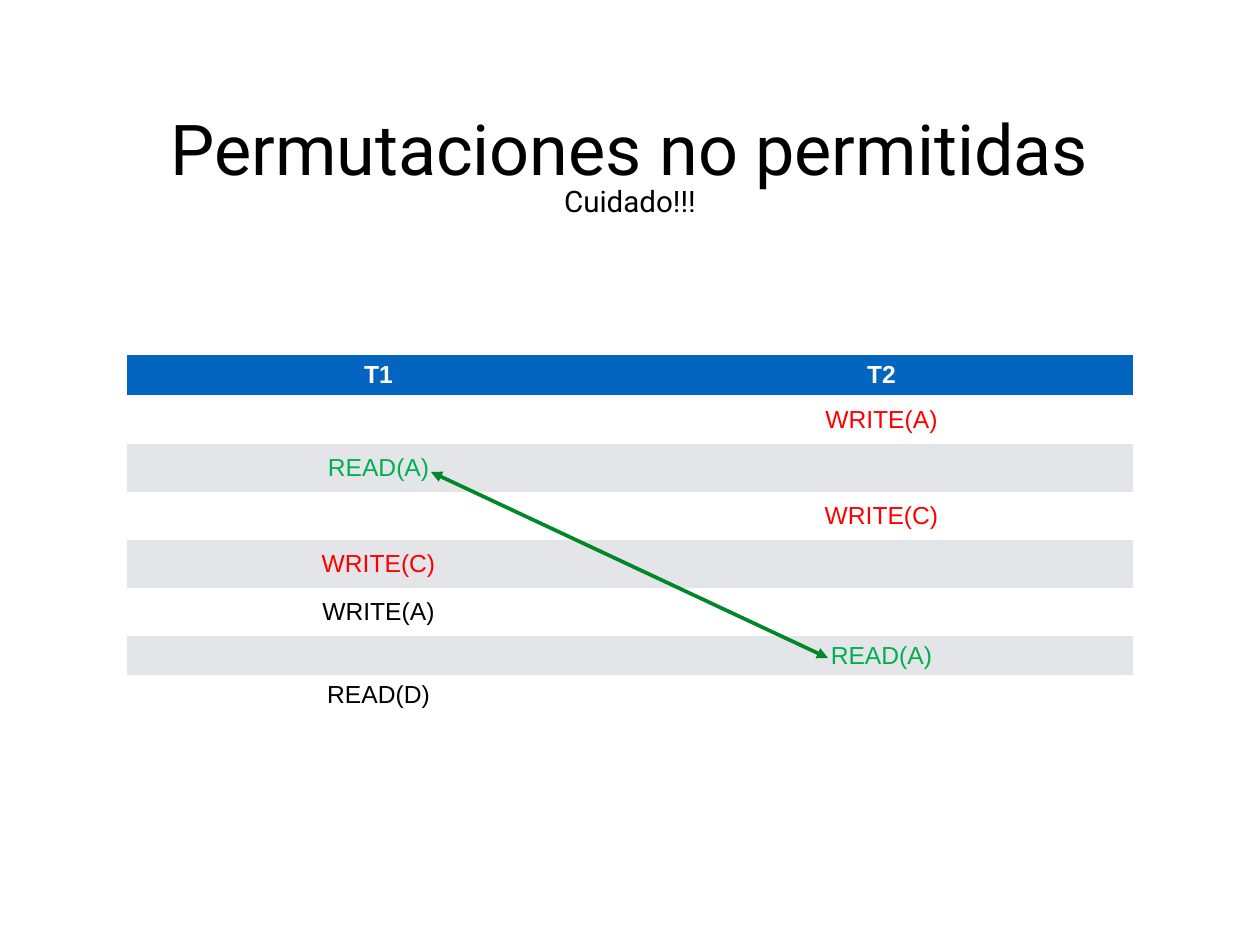
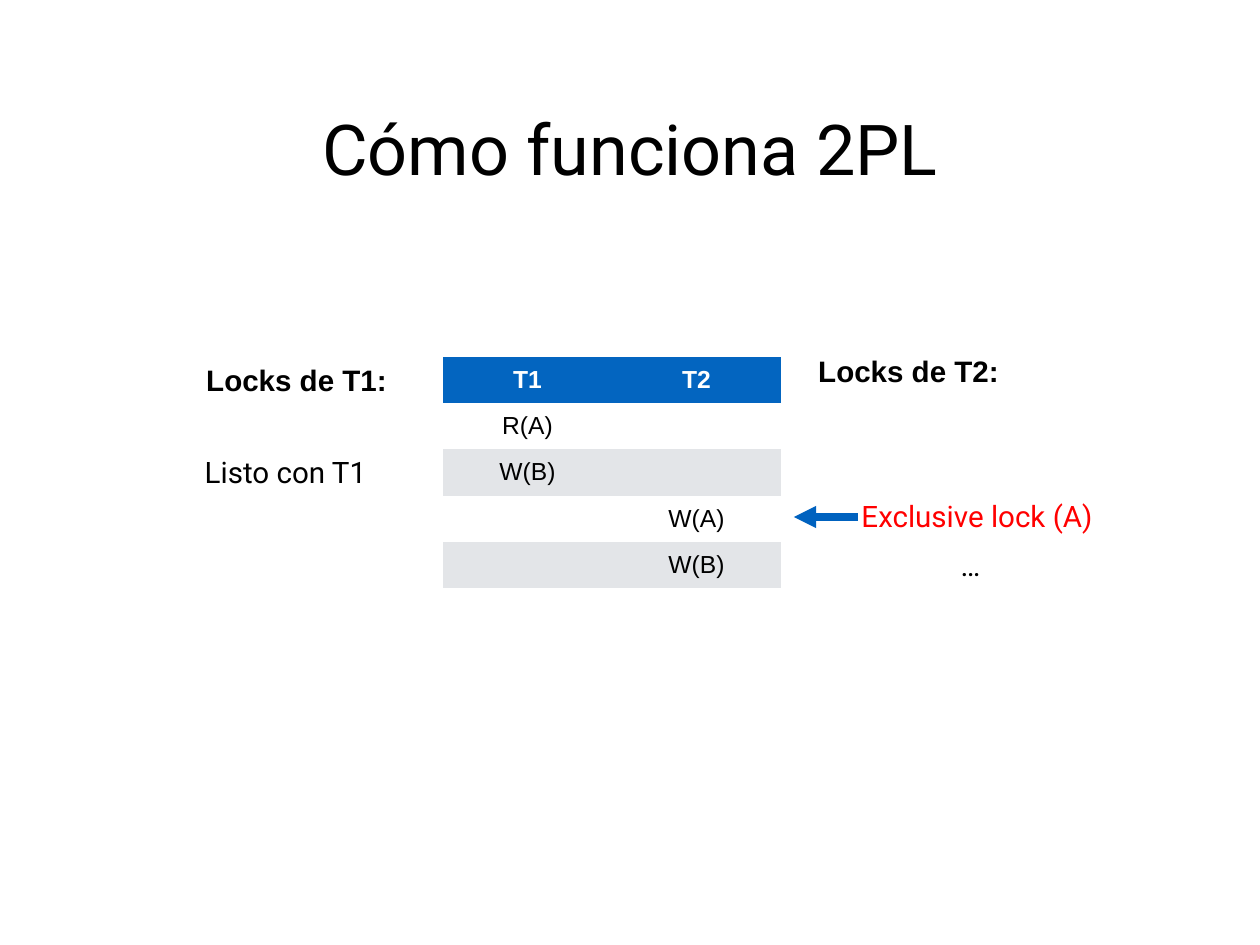
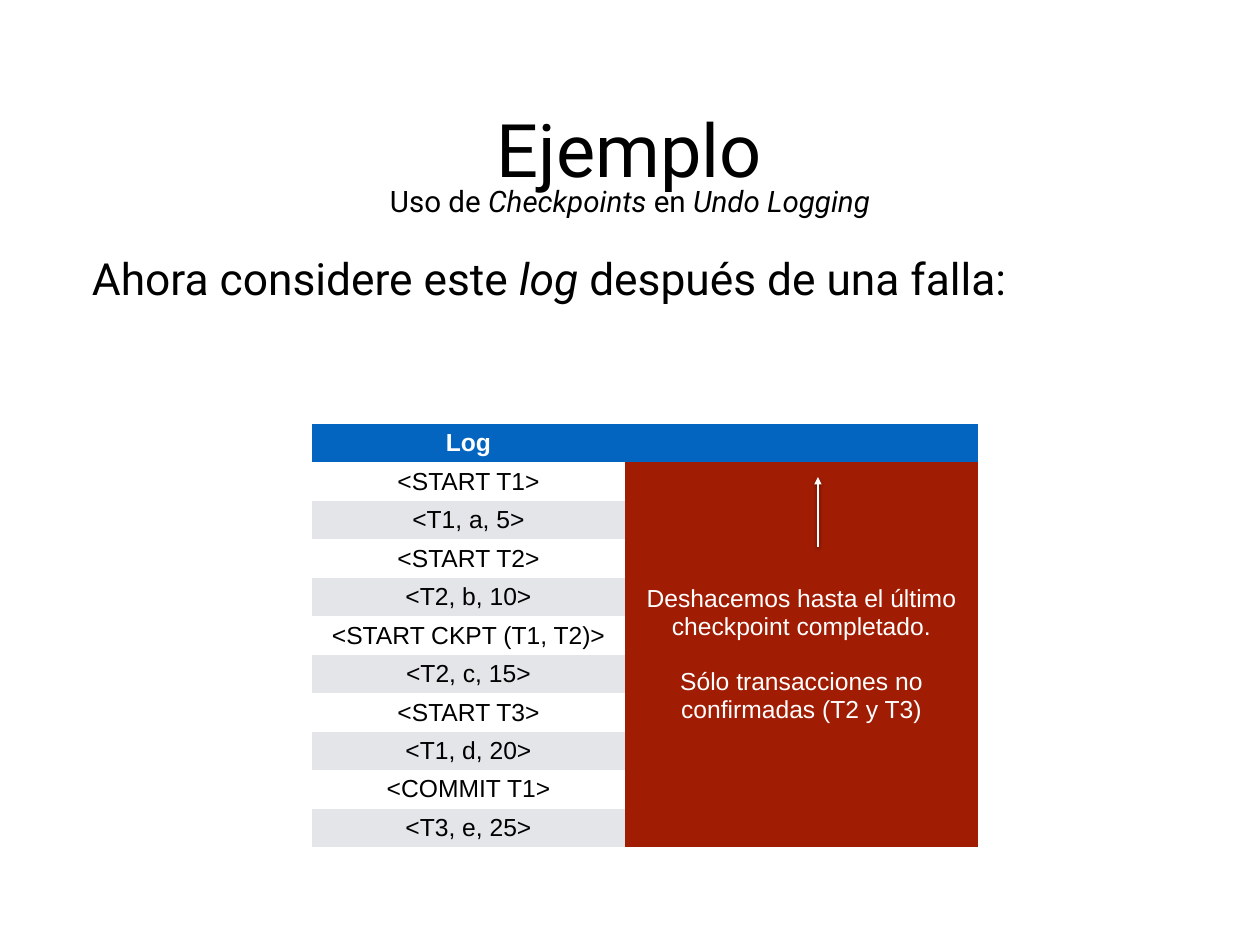
from dataclasses import dataclass
from typing import NamedTuple, Optional

from lxml.etree import SubElement as Sub
from pptx import Presentation
from pptx.dml.color import RGBColor as Rgb
from pptx.enum.shapes import MSO_CONNECTOR as Link
from pptx.enum.text import MSO_ANCHOR as Anchor, MSO_AUTO_SIZE as Auto, PP_ALIGN as Align
from pptx.oxml.ns import qn
from pptx.util import Emu, Pt

SCALE = 10321
WIDE, HIGH = 1260, 945
PLAIN = "{2D5ABB26-0587-4C30-8999-92F81FD0307C}"


@dataclass(frozen=True)
class Theme:
    ink: str = "000000"
    white: str = "FFFFFF"
    band: str = "E3E5E8"
    head: str = "0365C0"
    red: str = "FF0000"
    green: str = "00B050"
    brick: str = "A01D04"
    link: str = "008728"
    blue: str = "0062BF"
    sans: str = "Roboto"
    grid: str = "Arial"
    title: int = 57
    large: int = 60
    lead: int = 36
    note: int = 24
    cell: int = 20
    inset: int = 5


THEME = Theme()


class Box(NamedTuple):
    left: int
    top: int
    width: int
    height: int


class Cell(NamedTuple):
    text: str = ""
    ink: str = THEME.ink


class Label(NamedTuple):
    text: str
    box: Box
    ink: str = THEME.ink
    font: str = THEME.sans
    bold: bool = False
    size: int = THEME.note
    align: Align = Align.CENTER


class Arrow(NamedTuple):
    start: tuple[int, int]
    end: tuple[int, int]
    ink: str
    width: int
    both: bool = False
    shade: bool = False


@dataclass(frozen=True)
class Grid:
    left: int
    top: int
    cols: list[int]
    rows: list[int]
    heads: list[str]
    cells: list[list[Cell]]
    side: Optional[str] = None


@dataclass(frozen=True)
class Page:
    title: str
    place: Box
    grid: Grid
    labels: list[Label]
    arrows: list[Arrow]
    size: int = THEME.title


def px(num: int) -> Emu:
    return Emu(num * SCALE)


def mid(top: int, width: int, height: int) -> Box:
    return Box((WIDE - width) // 2, top, width, height)


def split(total: int, count: int) -> list[int]:
    marks = [round(total * i / count) for i in range(count + 1)]
    return [b - a for a, b in zip(marks, marks[1:])]


def write(frame, text: str, *, size: int, font: str, ink: str = THEME.ink,
          bold: bool = False, align: Align = Align.CENTER, gap: int = 0) -> None:
    for num, line in enumerate(text.split("\n")):
        para = frame.add_paragraph() if num else frame.paragraphs[0]
        para.alignment = align
        para.space_before = Pt(gap if num else 0)
        for part, words in enumerate(line.split("*")):
            if not words:
                continue
            run = para.add_run()
            run.text = words
            face = run.font
            face.size, face.name, face.bold = Pt(size), font, bold
            face.italic = part % 2 == 1
            face.color.rgb = Rgb.from_string(ink)


def pad(item) -> None:
    for side in ("left", "top", "right", "bottom"):
        setattr(item, f"margin_{side}", px(THEME.inset))
    item.vertical_anchor = Anchor.MIDDLE


def fit(shape, box: Box):
    shape.left, shape.top, shape.width, shape.height = map(px, box)
    frame = shape.text_frame
    frame.word_wrap = True
    frame.auto_size = Auto.NONE
    pad(frame)
    return frame


def put_label(slide, label: Label) -> None:
    shape = slide.shapes.add_textbox(*map(px, label.box))
    write(fit(shape, label.box), label.text, size=label.size, font=label.font,
          ink=label.ink, bold=label.bold, align=label.align)


def put_cell(cell, item: Cell, fill: str, bold: bool = False) -> None:
    pad(cell)
    cell.fill.solid()
    cell.fill.fore_color.rgb = Rgb.from_string(fill)
    write(cell.text_frame, item.text, size=THEME.cell, font=THEME.grid,
          ink=item.ink, bold=bold, gap=23)


def put_grid(slide, grid: Grid) -> None:
    shape = slide.shapes.add_table(
        len(grid.rows), len(grid.cols), px(grid.left), px(grid.top),
        px(sum(grid.cols)), px(sum(grid.rows)))
    for node in shape._element.iter(qn("a:tableStyleId")):
        node.text = PLAIN
    table = shape.table
    for col, width in zip(table.columns, grid.cols):
        col.width = px(width)
    for row, height in zip(table.rows, grid.rows):
        row.height = px(height)
    for x, head in enumerate(grid.heads):
        put_cell(table.cell(0, x), Cell(head, THEME.white), THEME.head, bold=True)
    for y, row in enumerate(grid.cells, 1):
        for x, item in enumerate(row):
            put_cell(table.cell(y, x), item, THEME.white if y % 2 else THEME.band)
    if grid.side:
        last = len(grid.cols) - 1
        table.cell(1, last).merge(table.cell(len(grid.rows) - 1, last))
        put_cell(table.cell(1, last), Cell(grid.side, THEME.white), THEME.brick)


def put_arrow(slide, arrow: Arrow) -> None:
    line = slide.shapes.add_connector(
        Link.STRAIGHT, *map(px, arrow.start + arrow.end))
    line.line.color.rgb = Rgb.from_string(arrow.ink)
    line.line.width = Pt(arrow.width)
    props = line._element.spPr
    stroke = props.find(qn("a:ln"))
    for tag in ("a:headEnd", "a:tailEnd")[0 if arrow.both else 1:]:
        Sub(stroke, qn(tag), type="triangle")
    fx = Sub(props, qn("a:effectLst"))
    if arrow.shade:
        cast = Sub(fx, qn("a:outerShdw"), blurRad=str(Pt(3)), dist=str(Pt(1.6)),
                   dir="5400000", rotWithShape="0")
        tint = Sub(cast, qn("a:srgbClr"), val=THEME.ink)
        Sub(tint, qn("a:alpha"), val="37000")


def build(deck, page: Page) -> None:
    slide = deck.slides.add_slide(deck.slide_layouts[5])
    write(fit(slide.shapes.title, page.place), page.title,
          size=page.size, font=THEME.sans)
    put_grid(slide, page.grid)
    for label in page.labels:
        put_label(slide, label)
    for arrow in page.arrows:
        put_arrow(slide, arrow)


NONE = Cell()
LOG = ["<START T1>", "<T1, a, 5>", "<START T2>", "<T2, b, 10>",
       "<START CKPT (T1, T2)>", "<T2, c, 15>", "<START T3>", "<T1, d, 20>",
       "<COMMIT T1>", "<T3, e, 25>"]

PAGES = [
    Page(
        "Permutaciones no permitidas", mid(102, 939, 91),
        Grid(127, 355, [503] * 2, [40, 49, 48, 48, 48, 48, 39, 39], ["T1", "T2"], [
            [NONE, Cell("WRITE(A)", THEME.red)],
            [Cell("READ(A)", THEME.green), NONE],
            [NONE, Cell("WRITE(C)", THEME.red)],
            [Cell("WRITE(C)", THEME.red), NONE],
            [Cell("WRITE(A)"), NONE],
            [NONE, Cell("READ(A)", THEME.green)],
            [Cell("READ(D)"), NONE],
        ]),
        [Label("Cuidado!!!", mid(179, 148, 44))],
        [Arrow((431, 472), (828, 658), THEME.link, 3, both=True)],
    ),
    Page(
        "Cómo funciona 2PL", mid(102, 640, 91),
        Grid(443, 357, [169] * 2, split(231, 5), ["T1", "T2"], [
            [Cell("R(A)"), NONE],
            [Cell("W(B)"), NONE],
            [NONE, Cell("W(A)")],
            [NONE, Cell("W(B)")],
        ]),
        [
            Label("Locks de T1:", Box(182, 358, 229, 44), font=THEME.grid, bold=True),
            Label("Locks de T2:", Box(794, 349, 229, 44), font=THEME.grid, bold=True),
            Label("Exclusive lock (A)", Box(848, 494, 258, 44), THEME.red),
            Label("Listo con T1", Box(163, 450, 245, 44)),
            Label("…", Box(848, 543, 245, 44)),
        ],
        [Arrow((858, 517), (794, 517), THEME.blue, 6)],
    ),
    Page(
        "Ejemplo", mid(99, 277, 97),
        Grid(312, 424, [313, 353], split(423, 11), ["Log", ""],
             [[Cell(entry)] for entry in LOG],
             "Deshacemos hasta el último checkpoint completado.\n"
             "Sólo transacciones no confirmadas (T2 y T3)"),
        [
            Label("Ahora considere este *log* después de una falla:",
                  Box(87, 247, 1086, 61), size=THEME.lead, align=Align.JUSTIFY),
            Label("Uso de *Checkpoints *en* Undo Logging*", mid(179, 520, 44)),
        ],
        [Arrow((818, 547), (818, 477), THEME.white, 2, shade=True)],
        THEME.large,
    ),
]


def main() -> None:
    deck = Presentation()
    deck.slide_width, deck.slide_height = px(WIDE), px(HIGH)
    for page in PAGES:
        build(deck, page)
    deck.save("out.pptx")


if __name__ == "__main__":
    main()
